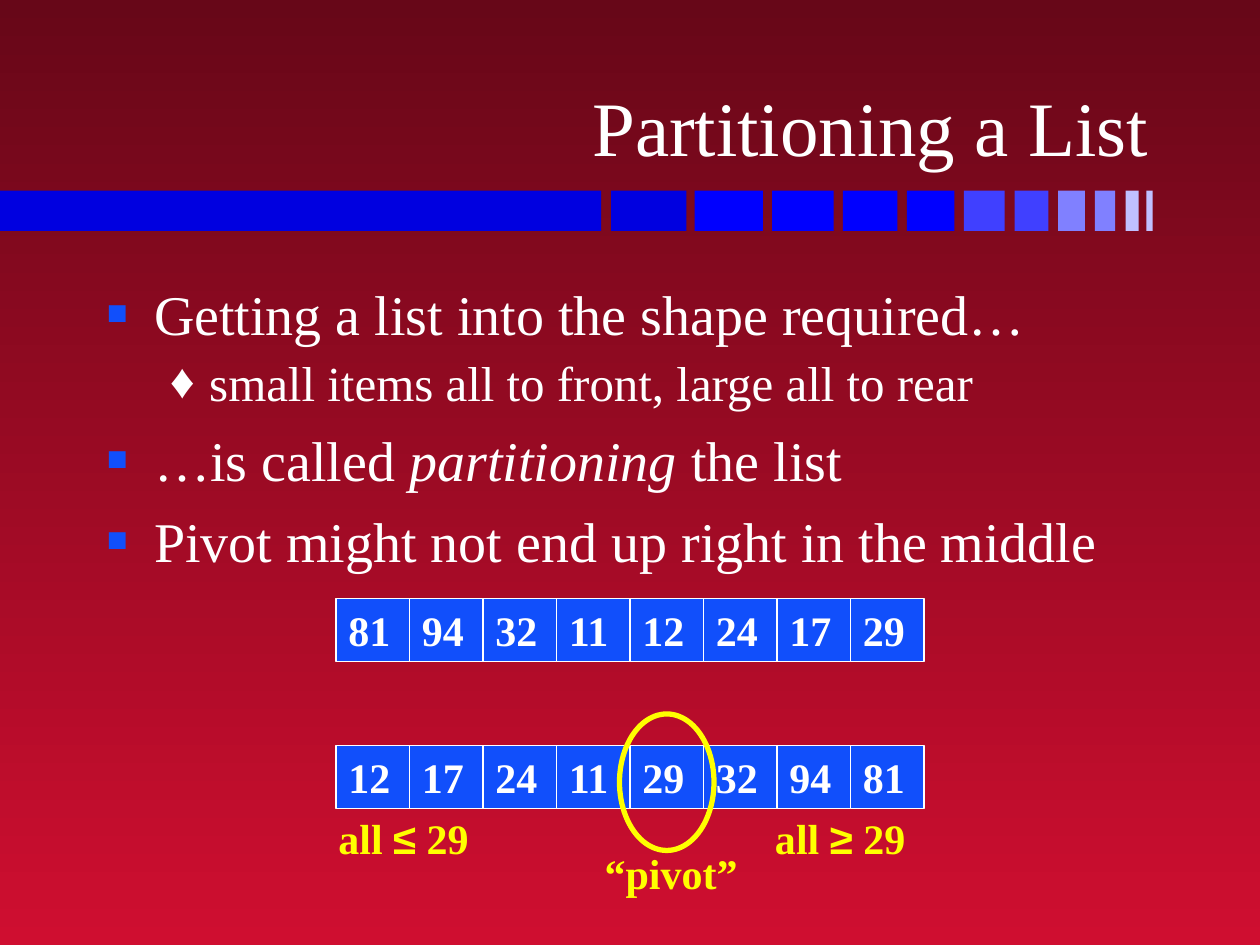
from dataclasses import dataclass

from lxml import etree
from pptx import Presentation
from pptx.dml.color import RGBColor
from pptx.enum.shapes import MSO_SHAPE
from pptx.enum.text import MSO_ANCHOR, MSO_AUTO_SIZE, PP_ALIGN
from pptx.oxml.ns import qn
from pptx.util import Pt

RECT, OVAL = MSO_SHAPE.RECTANGLE, MSO_SHAPE.OVAL
TOP, MIDDLE, BOTTOM = MSO_ANCHOR.TOP, MSO_ANCHOR.MIDDLE, MSO_ANCHOR.BOTTOM
LEFT, RIGHT = PP_ALIGN.LEFT, PP_ALIGN.RIGHT
GROW = MSO_AUTO_SIZE.SHAPE_TO_FIT_TEXT


@dataclass(frozen=True)
class Theme:
    dark: str = "670718"
    red: str = "CF0E30"
    blue: str = "114FFB"
    white: str = "FFFFFF"
    yellow: str = "FFFF00"
    face: str = "Times New Roman"
    sign: str = "Arial"
    title: int = 44
    body: int = 32
    sub: int = 28
    label: int = 24


@dataclass(frozen=True)
class Box:
    x: float
    y: float
    w: float
    h: float

    def place(self) -> tuple:
        return Pt(self.x), Pt(self.y), Pt(self.w), Pt(self.h)


@dataclass(frozen=True)
class Level:
    size: int
    left: float
    hang: float
    gap: float
    mark: str
    color: str
    scale: int


@dataclass(frozen=True)
class Point:
    level: Level
    runs: tuple
    slant: str = ""


@dataclass(frozen=True)
class Label:
    box: Box
    runs: tuple


THEME = Theme()
MAIN = Level(THEME.body, 27, 27, 8, "■", THEME.blue, 62)
MINOR = Level(THEME.sub, 58.5, 22.5, 3.5, "♦", THEME.white, 100)
POINTS = (
    Point(MAIN, ("Getting a list into the shape required…",)),
    Point(MINOR, ("small items all to front, large all to rear",)),
    Point(MAIN, ("…is called ", "partitioning", " the list"), "partitioning"),
    Point(MAIN, ("Pivot might not end up right in the middle",)),
)
# Left edge and colour of each block after the long bar
BLOCKS = (
    (349.2, "0000E0"), (396.9, "0000FF"), (441.2, "0000FF"),
    (481.7, "0000FF"), (518.2, "0000FF"), (550.8, "4040FF"),
    (579.8, "4040FF"), (604.6, "8080FF"), (625.7, "8080FF"),
    (643.2, "C0C0FF"), (655, "C0C0FF"),
)
ROWS = (
    (342, (81, 94, 32, 11, 12, 24, 17, 29)),
    (426, (12, 17, 24, 11, 29, 32, 94, 81)),
)
LABELS = (
    Label(Box(186.3, 461, 94, 36), ("all ", "≤", " 29")),
    Label(Box(435.8, 461, 94, 36), ("all ", "≥", " 29")),
    Label(Box(338.4, 480.5, 92, 36), ("“pivot”",)),
)


def style(font, size: int, color: str, bold: bool = False) -> None:
    font.name, font.size, font.bold = THEME.face, Pt(size), bold
    font.color.rgb = RGBColor.from_string(color)


def block(slide, kind, box: Box, fill: str = "", line: str = "",
          width: float = 1):
    shape = slide.shapes.add_shape(kind, *box.place())
    shape.shadow.inherit = False
    if fill:
        shape.fill.solid()
        shape.fill.fore_color.rgb = RGBColor.from_string(fill)
    else:
        shape.fill.background()
    if line:
        shape.line.color.rgb = RGBColor.from_string(line)
        shape.line.width = Pt(width)
    else:
        shape.line.fill.background()
    return shape


def frame(shape, wrap: bool, anchor):
    text = shape.text_frame
    text.word_wrap, text.vertical_anchor = wrap, anchor
    return text


def bullet(para, level: Level) -> None:
    props = para._p.get_or_add_pPr()
    props.set("marL", str(Pt(level.left)))
    props.set("indent", str(-Pt(level.hang)))
    color = etree.SubElement(props, qn("a:buClr"))
    etree.SubElement(color, qn("a:srgbClr"), val=level.color)
    etree.SubElement(props, qn("a:buSzPct"), val=str(level.scale * 1000))
    etree.SubElement(props, qn("a:buFont"), typeface=THEME.face)
    etree.SubElement(props, qn("a:buChar"), char=level.mark)


def bars(slide) -> None:
    block(slide, RECT, Box(0, 109, 343.6, 23), "0000E0")
    for i, (x, color) in enumerate(BLOCKS):
        block(slide, RECT, Box(x, 109, 43 - 3.94 * i, 23), color)


def title(slide) -> None:
    shape = slide.shapes.add_textbox(*Box(53, 13.5, 610.5, 88.5).place())
    para = frame(shape, True, BOTTOM).paragraphs[0]
    para.text, para.alignment = "Partitioning a List", RIGHT
    style(para.font, THEME.title, THEME.white)


def body(slide) -> None:
    shape = slide.shapes.add_textbox(*Box(54, 156, 612, 324).place())
    text = frame(shape, True, TOP)
    for i, point in enumerate(POINTS):
        para = text.add_paragraph() if i else text.paragraphs[0]
        bullet(para, point.level)
        if i:
            para.space_before = Pt(point.level.gap)
        style(para.font, point.level.size, THEME.white)
        for words in point.runs:
            run = para.add_run()
            run.text = words
            if words == point.slant:
                run.font.italic = True


def cells(slide, top: float, values: tuple) -> None:
    for i, value in enumerate(values):
        box = Box(192 + 42 * i, top, 42, 36)
        shape = block(slide, RECT, box, THEME.blue, THEME.white)
        para = frame(shape, False, MIDDLE).paragraphs[0]
        para.text, para.alignment = str(value), LEFT
        style(para.font, THEME.label, THEME.white, True)


def note(slide, label: Label) -> None:
    shape = slide.shapes.add_textbox(*label.box.place())
    text = frame(shape, False, TOP)
    text.auto_size = GROW
    para = text.paragraphs[0]
    style(para.font, THEME.label, THEME.yellow, True)
    for words in label.runs:
        run = para.add_run()
        run.text = words
        if words in "≤≥":
            run.font.name = THEME.sign


def main() -> None:
    deck = Presentation()
    deck.slide_width, deck.slide_height = Pt(720), Pt(540)
    slide = deck.slides.add_slide(deck.slide_layouts[6])

    # Background, dark at the top
    fill = slide.background.fill
    fill.gradient()
    fill.gradient_angle = 270
    for stop, color in zip(fill.gradient_stops, (THEME.dark, THEME.red)):
        stop.color.rgb = RGBColor.from_string(color)

    # Heading and points
    bars(slide)
    title(slide)
    body(slide)

    # List before and after partitioning
    for top, values in ROWS:
        cells(slide, top, values)

    # Pivot ring and labels
    block(slide, OVAL, Box(354, 408, 54, 78), line=THEME.yellow, width=3)
    for label in LABELS:
        note(slide, label)

    deck.save("out.pptx")


if __name__ == "__main__":
    main()
